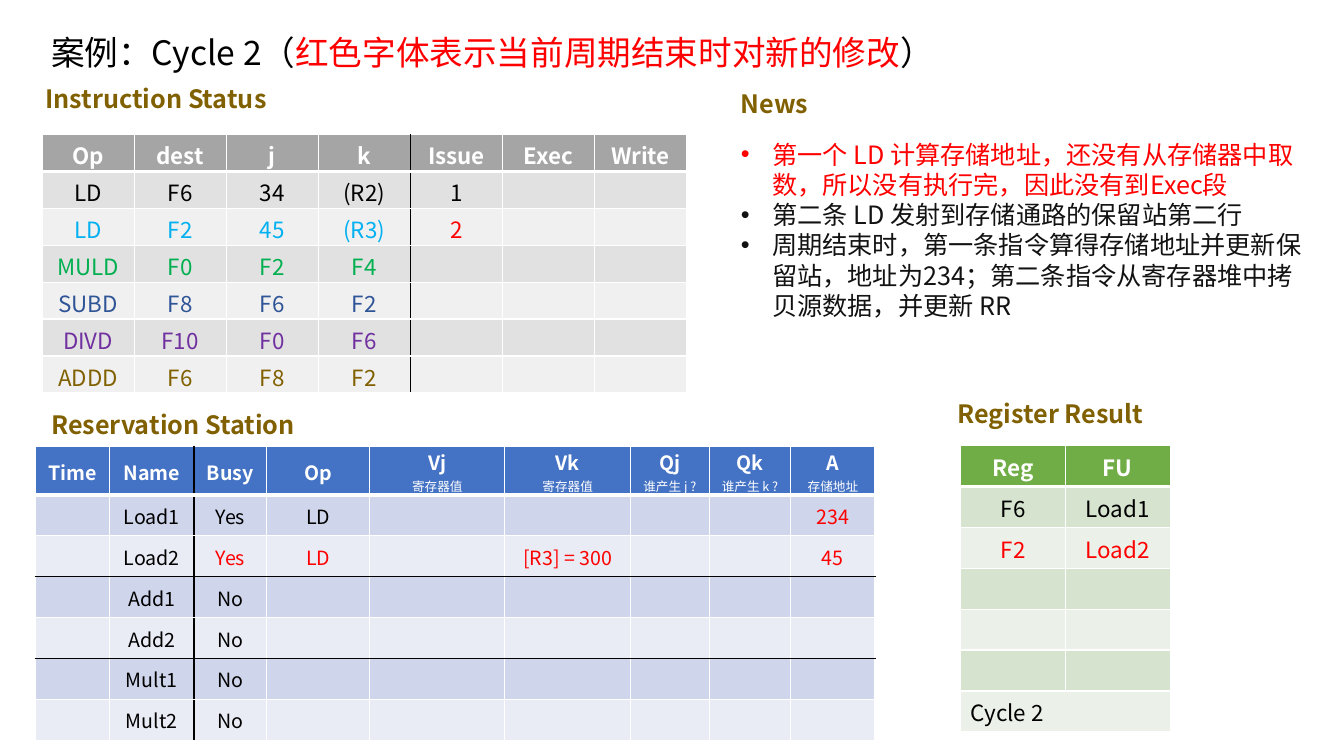
from lxml import etree
from pptx import Presentation
from pptx import util as u
from pptx.dml.color import RGBColor
from pptx.enum import text
from pptx.oxml import ns

FONT = "Noto Sans CJK SC"
COLORS = {
    "black": "000000", "white": "FFFFFF", "new": "FF0000", "heading": "806000",
    "body": "121212", "cyan": "00B0F0", "green": "00B050", "blue": "2F5597",
    "purple": "7030A0", "gray head": "A5A5A5", "gray odd": "E1E1E1",
    "gray even": "F0F0F0", "blue head": "4472C4", "blue odd": "CFD5EA",
    "blue even": "E9EBF5", "green head": "70AD47", "green odd": "D5E3CF",
    "green even": "EBF1E9",
}


def rgb(name):
    return RGBColor.from_string(COLORS[name])


def set_font(paragraph, size, color, bold=False):
    font = paragraph.font
    font.size, font.bold, font.name = u.Pt(size), bold, FONT
    font.color.rgb = rgb(color)
    etree.SubElement(font._rPr, ns.qn("a:ea"), typeface=FONT)


def add_text_frame(slide, box, wrap=True):
    frame = slide.shapes.add_textbox(*map(u.Cm, box)).text_frame
    frame.word_wrap = wrap
    return frame


def add_title(slide, box):
    frame = add_text_frame(slide, box)
    frame.vertical_anchor = text.MSO_ANCHOR.MIDDLE
    paragraph = frame.paragraphs[0]
    paragraph.line_spacing = 0.9
    set_font(paragraph, 24, "black")
    for words, color in (("案例：Cycle 2（", "black"),
                         ("红色字体表示当前周期结束时对新的修改", "new"),
                         ("）", "black")):
        run = paragraph.add_run()
        run.text = words
        run.font.color.rgb = rgb(color)


def add_heading(slide, box, words):
    frame = add_text_frame(slide, box, wrap=False)
    frame.text = words
    set_font(frame.paragraphs[0], 18, "heading", True)


def set_borders(cell, borders):
    properties = cell._tc.get_or_add_tcPr()
    for index, (side, (color, width)) in enumerate(borders.items()):
        line = etree.Element(ns.qn(f"a:ln{side}"), w=str(u.Pt(width)))
        fill = etree.SubElement(line, ns.qn("a:solidFill"))
        etree.SubElement(fill, ns.qn("a:srgbClr"), val=COLORS[color])
        properties.insert(index, line)


def add_table(slide, box, widths, heights, rows, theme, size, margins, anchor,
              row_colors=None, new_cells=(), rule_column=None, rule_rows=()):
    row_colors = row_colors or {}
    table = slide.shapes.add_table(len(rows), len(widths), *map(u.Cm, box)).table
    for column, width in zip(table.columns, widths):
        column.width = u.Cm(width)
    for row, height in zip(table.rows, heights):
        row.height = u.Cm(height)

    def horizontal(edge):
        return ("black" if edge in rule_rows else "white", 3 if edge == 1 else 1)

    def vertical(edge):
        return ("black" if edge == rule_column else "white", 1)

    for r, row in enumerate(rows):
        band = "head" if r == 0 else "odd" if r % 2 else "even"
        row_color = "white" if r == 0 else row_colors.get(r, "black")
        for c in range(len(widths)):
            cell = table.cell(r, c)
            cell.fill.solid()
            cell.fill.fore_color.rgb = rgb(f"{theme} {band}")
            cell.vertical_anchor = anchor
            cell.margin_top, cell.margin_bottom = map(u.Cm, margins)
            cell.text_frame.text = row[c] if c < len(row) else ""
            color = "new" if (r, c) in new_cells else row_color
            for index, paragraph in enumerate(cell.text_frame.paragraphs):
                paragraph.alignment = text.PP_ALIGN.CENTER
                set_font(paragraph, 9 if index else size, color,
                         r == 0 and index == 0)
            set_borders(cell, {"L": vertical(c), "R": vertical(c + 1),
                               "T": horizontal(r), "B": horizontal(r + 1)})
    return table


def add_instruction_status(slide, left, top):
    add_heading(slide, (left, top, 6.22, 1.02), "Instruction Status")
    rows = [
        ("Op", "dest", "j", "k", "Issue", "Exec", "Write"),
        ("LD", "F6", "34", "(R2)", "1"),
        ("LD", "F2", "45", "(R3)", "2"),
        ("MULD", "F0", "F2", "F4"),
        ("SUBD", "F8", "F6", "F2"),
        ("DIVD", "F10", "F0", "F6"),
        ("ADDD", "F6", "F8", "F2"),
    ]
    row_colors = dict(enumerate(("cyan", "green", "blue", "purple", "heading"), 2))
    add_table(slide, (left + 0.17, top + 1.41, 16.24, 6.51), [2.32] * 7, [0.93] * 7,
              rows, "gray", 16, (0.11, 0), text.MSO_ANCHOR.MIDDLE,
              row_colors, {(2, 4)}, rule_column=4)


def add_reservation_station(slide, left, top):
    add_heading(slide, (left + 0.15, top, 6.83, 1.02), "Reservation Station")
    rows = [
        ("Time", "Name", "Busy", "Op", "Vj\n寄存器值", "Vk\n寄存器值",
         "Qj\n谁产生 j ?", "Qk\n谁产生 k ?", "A\n存储地址"),
        ("", "Load1", "Yes", "LD", "", "", "", "", "234"),
        ("", "Load2", "Yes", "LD", "", "[R3] = 300", "", "", "45"),
    ]
    rows += [("", name, "No") for name in ("Add1", "Add2", "Mult1", "Mult2")]
    widths = [1.87, 2.13, 1.83, 2.6, 3.4, 3.17, 1.98, 2.06, 2.12]
    add_table(slide, (left, top + 1.07, sum(widths), 7.39), widths,
              [1.21] + [1.03] * 6, rows, "blue", 14, (0.03, 0),
              text.MSO_ANCHOR.MIDDLE,
              new_cells={(1, 8), (2, 2), (2, 3), (2, 5), (2, 8)},
              rule_column=2, rule_rows=(3, 5))


def add_register_result(slide, left, top):
    add_heading(slide, (left, top, 5.36, 1.02), "Register Result")
    rows = [("Reg", "FU"), ("F6", "Load1"), ("F2", "Load2"), (), (), (), ("Cycle 2",)]
    table = add_table(slide, (left + 0.33, top + 1.32, 5.28, 7.21), [2.64] * 2,
                      [1.03] * 7, rows, "green", 16, (0.13, 0.05),
                      text.MSO_ANCHOR.TOP, new_cells={(2, 0), (2, 1)})
    cycle = table.cell(6, 0)
    cycle.merge(table.cell(6, 1))
    cycle.text_frame.paragraphs[0].alignment = text.PP_ALIGN.LEFT


def add_news(slide, left, top):
    add_heading(slide, (left, top, 2.29, 1.02), "News")
    frame = add_text_frame(slide, (left, top + 1.27, 14.83, 4.88))
    items = (
        ("第一个 LD 计算存储地址，还没有从存储器中取数，所以没有执行完，因此没有到Exec段", "new"),
        ("第二条 LD 发射到存储通路的保留站第二行", "body"),
        ("周期结束时，第一条指令算得存储地址并更新保留站，地址为234；"
         "第二条指令从寄存器堆中拷贝源数据，并更新 RR", "body"),
    )
    frame.text = "\n".join(words for words, color in items)
    for paragraph, (words, color) in zip(frame.paragraphs, items):
        properties = paragraph._p.get_or_add_pPr()
        properties.set("marL", str(u.Cm(0.79)))
        properties.set("indent", str(u.Cm(-0.79)))
        etree.SubElement(properties, ns.qn("a:buFont"), typeface="Arial")
        etree.SubElement(properties, ns.qn("a:buChar"), char="•")
        set_font(paragraph, 18, color)


def main():
    presentation = Presentation()
    presentation.slide_width, presentation.slide_height = u.Cm(33.87), u.Cm(19.05)
    slide = presentation.slides.add_slide(presentation.slide_layouts[6])
    add_title(slide, (1.04, 0.51, 29.21, 1.73))
    add_instruction_status(slide, 0.89, 1.98)
    add_reservation_station(slide, 0.89, 10.19)
    add_register_result(slide, 23.88, 9.91)
    add_news(slide, 18.42, 2.11)
    presentation.save("out.pptx")


if __name__ == "__main__":
    main()
